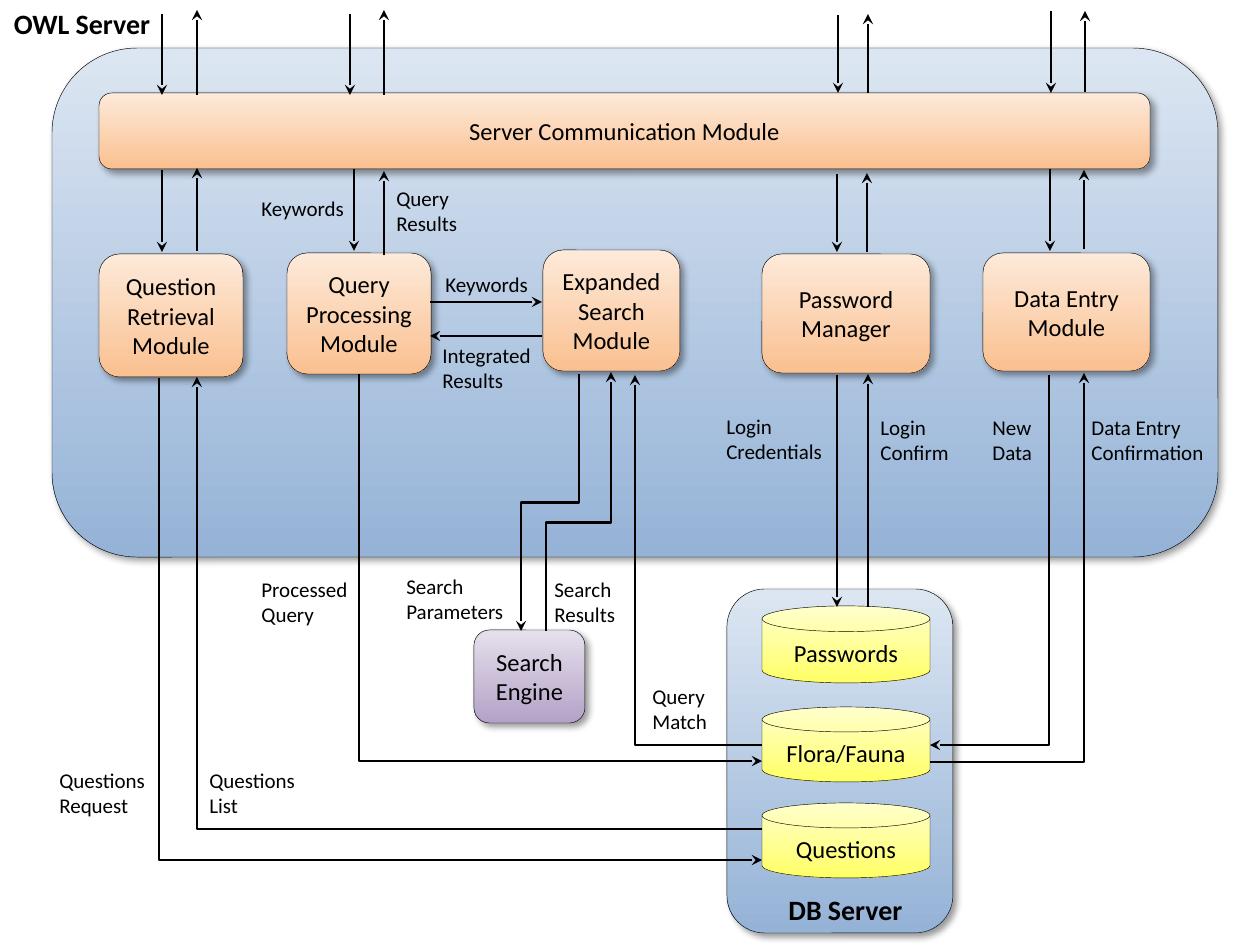
"""Build the OWL server architecture slide."""
import pptx
import pptx.util
import pptx.dml.color
import pptx.enum.shapes
import pptx.enum.text
import pptx.oxml
import pptx.oxml.ns

SCALE = 914400 / 126
FONT = "Calibri"
INK = "000000"
FILLS = {
    "blue": ("DCE6F2", "95B3D7"),
    "peach": ("FDEADA", "FAC090"),
    "yellow": ("FFFFCC", "FFFF66"),
    "purple": ("E6E0EC", "B3A2C7"),
}

BOXES = [
    ("blue", (727, 589, 226, 344), []),
    ("blue", (52, 48, 1166, 509), []),
    ("peach", (99, 93, 1051, 76), ["Server Communication Module"]),
    ("peach", (99, 254, 144, 123), ["Question", "Retrieval", "Module"]),
    ("peach", (287, 253, 144, 121), ["Query Processing Module"]),
    ("peach", (543, 250, 137, 121), ["Expanded Search", "Module"]),
    ("peach", (762, 254, 168, 119), ["Password", "Manager"]),
    ("peach", (983, 253, 167, 118), ["Data Entry", "Module"]),
    ("purple", (474, 630, 111, 93), ["Search", "Engine"]),
]
DISKS = [
    ((762, 606, 168, 77), ["Passwords"]),
    ((762, 707, 168, 75), ["Flora/Fauna"]),
    ((762, 803, 168, 75), ["Questions"]),
]
TITLES = [
    ((0, 0, 164, 47), ["OWL Server"]),
    ((775, 886, 141, 47), ["DB Server"]),
]
LABELS = [
    ((249, 189, 112, 38), ["Keywords"]),
    ((433, 265, 112, 38), ["Keywords"]),
    ((384, 179, 91, 63), ["Query", "Results"]),
    ((430, 336, 119, 63), ["Integrated", "Results"]),
    ((714, 407, 126, 63), ["Login", "Credentials"]),
    ((868, 408, 99, 63), ["Login", "Confirm"]),
    ((980, 408, 70, 63), ["New", "Data"]),
    ((1079, 408, 143, 63), ["Data Entry", "Confirmation"]),
    ((249, 570, 117, 63), ["Processed", "Query"]),
    ((394, 567, 127, 63), ["Search", "Parameters"]),
    ((542, 570, 91, 63), ["Search", "Results"]),
    ((640, 677, 86, 63), ["Query", "Match"]),
    ((47, 761, 116, 63), ["Questions", "Request"]),
    ((197, 761, 116, 63), ["Questions", "List"]),
]
UPRIGHT = [
    (162, 14, 95), (197, 95, 10), (350, 14, 95), (384, 95, 10),
    (838, 15, 93), (868, 93, 14), (1051, 11, 93), (1085, 92, 11),
    (162, 170, 252), (197, 251, 168), (354, 169, 251), (384, 255, 171),
    (837, 174, 252), (867, 252, 173), (1050, 169, 251), (1084, 249, 170),
    (837, 375, 607), (868, 607, 374),
]
LEVEL = [(302, 430, 542), (336, 542, 430)]
DOWN, SIDE = True, False
BENDS = [
    (DOWN, (1049, 375, 930, 745), None),
    (SIDE, (930, 762, 1084, 373), None),
    (DOWN, (359, 374, 762, 761), None),
    (SIDE, (762, 745, 635, 375), None),
    (DOWN, (579, 374, 521, 631), 0.5),
    (DOWN, (546, 631, 611, 372), 0.42),
    (DOWN, (159, 378, 762, 860), None),
    (SIDE, (762, 829, 197, 377), None),
]

KIND = pptx.enum.shapes.MSO_SHAPE
LINK = pptx.enum.shapes.MSO_CONNECTOR
ALIGN = pptx.enum.text.PP_ALIGN
ANCHOR = pptx.enum.text.MSO_ANCHOR
qn = pptx.oxml.ns.qn


def emu(vals):
    return [round(v * SCALE) for v in vals]


def rgb(code):
    return pptx.dml.color.RGBColor.from_string(code)


def node(xml):
    return pptx.oxml.parse_xml(xml.replace("NS", pptx.oxml.ns.nsdecls("a"), 1))


def write(frame, lines, size, align, bold=False):
    for i, line in enumerate(lines):
        para = frame.paragraphs[0] if i == 0 else frame.add_paragraph()
        para.alignment = align
        run = para.add_run()
        run.text = line
        run.font.name = FONT
        run.font.size = pptx.util.Pt(size)
        run.font.bold = bold
        run.font.color.rgb = rgb(INK)


def block(kind, area, tone, lines):
    shape = shapes.add_shape(kind, *emu(area))
    shape.shadow.inherit = False
    shape.fill.gradient()
    shape.fill.gradient_angle = 270
    for stop, code in zip(shape.fill.gradient_stops, FILLS[tone]):
        stop.color.rgb = rgb(code)
    shape.line.color.rgb = rgb(INK)
    shape.line.width = pptx.util.Pt(0.25)
    write(shape.text_frame, lines, 14, ALIGN.CENTER)
    return shape


def shade(shape):
    shape.element.spPr.find(qn("a:effectLst")).append(node(
        '<a:outerShdw NS blurRad="50800" dist="38100" dir="2700000" algn="tl" rotWithShape="0">'
        f'<a:srgbClr val="{INK}"><a:alpha val="40000"/></a:srgbClr></a:outerShdw>'))


def label(area, lines, size, align, bold=False):
    frame = shapes.add_textbox(*emu(area)).text_frame
    frame.word_wrap = False
    frame.auto_size = pptx.enum.text.MSO_AUTO_SIZE.SHAPE_TO_FIT_TEXT
    write(frame, lines, size, align, bold)


def arrow(kind, ends):
    link = shapes.add_connector(kind, *emu(ends))
    link.line.color.rgb = rgb(INK)
    link.line.width = pptx.util.Pt(1.5)
    link.line._get_or_add_ln().append(node('<a:tailEnd NS type="stealth"/>'))
    link.element.spPr.append(node("<a:effectLst NS/>"))
    return link


def bend(down, ends, turn):
    x1, y1, x2, y2 = ends
    if down:
        mx, my = (x1 + x2) / 2, (y1 + y2) / 2
        dx, dy = (x2 - x1) / 2, (y2 - y1) / 2
        ends = mx - dy, my + dx, mx + dy, my - dx
    prop = arrow(LINK.ELBOW, ends).element.spPr
    if down:
        prop.find(qn("a:xfrm")).set("rot", "5400000")
    geom = prop.find(qn("a:prstGeom"))
    if turn is None:
        geom.set("prst", "bentConnector2")
    else:
        geom.find(qn("a:avLst")).append(
            node(f'<a:gd NS name="adj1" fmla="val {round(turn * 100000)}"/>'))


deck = pptx.Presentation()
deck.slide_width, deck.slide_height = emu((1260, 945))
shapes = deck.slides.add_slide(deck.slide_layouts[6]).shapes

for tone, area, lines in BOXES:
    shade(block(KIND.ROUNDED_RECTANGLE, area, tone, lines))
for area, lines in DISKS:
    disk = block(KIND.FLOWCHART_MAGNETIC_DISK, area, "yellow", lines)
    disk.text_frame.vertical_anchor = ANCHOR.TOP
for area, lines in TITLES:
    label(area, lines, 16, ALIGN.CENTER, True)
for area, lines in LABELS:
    label(area, lines, 12, ALIGN.LEFT)
for x, start, end in UPRIGHT:
    arrow(LINK.STRAIGHT, (x, start, x, end))
for y, start, end in LEVEL:
    arrow(LINK.STRAIGHT, (start, y, end, y))
for down, ends, turn in BENDS:
    bend(down, ends, turn)

deck.save("out.pptx")
